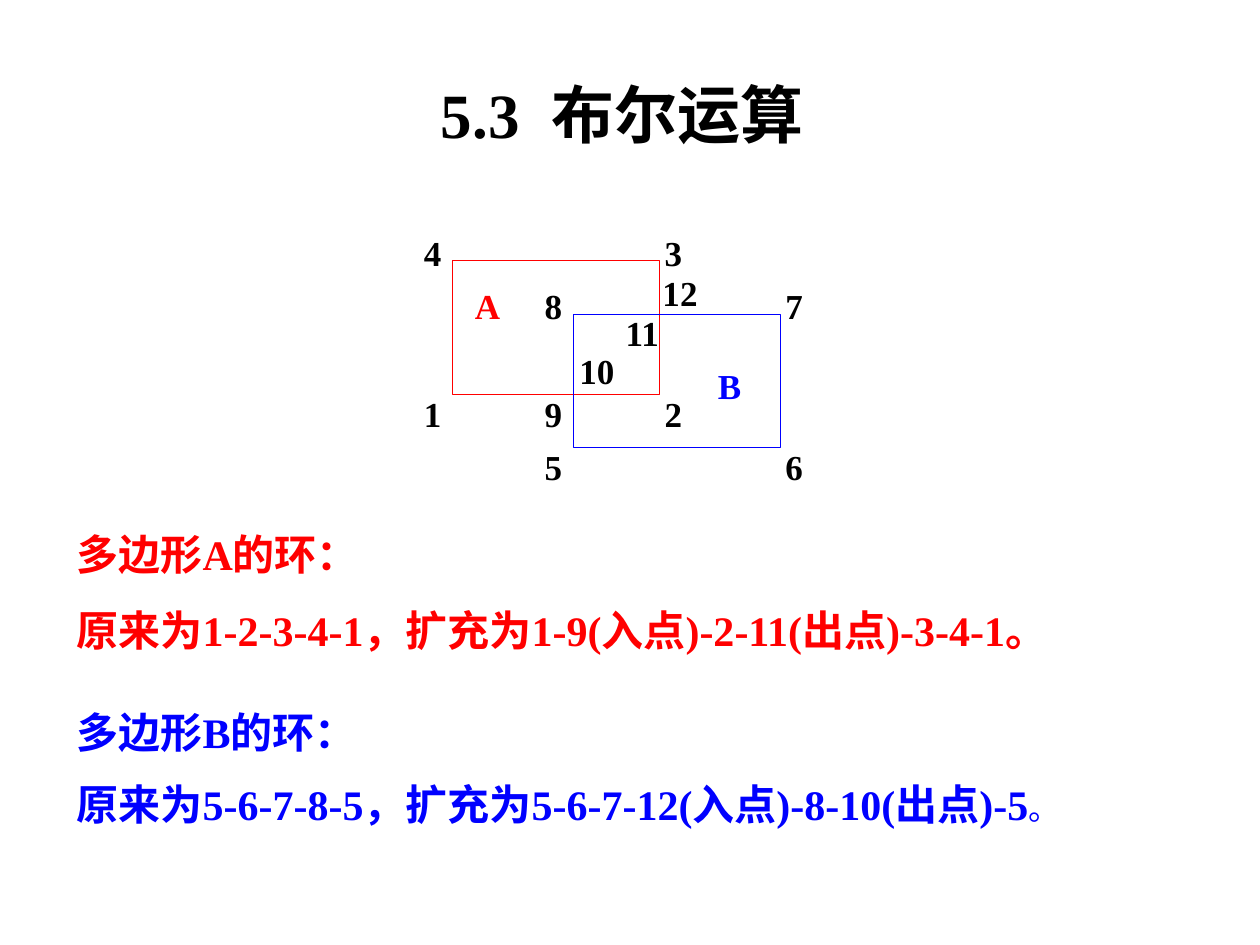
from pptx import Presentation
from pptx import util as u
from pptx.dml.color import RGBColor
from pptx.enum import shapes, text

COLORS = {"ink": "000000", "a": "FF0000", "b": "0000FF"}
LATIN, CJK = "Times New Roman", "DejaVu Sans"
ALIGN, ANCHOR = text.PP_ALIGN, text.MSO_ANCHOR


class Sheet:
    def __init__(self, slide):
        self.slide = slide
        self.diagram = slide.shapes.add_group_shape().shapes

    def run(self, p, words, color, **extra):
        r = p.add_run()
        r.text = words
        style = {"name": LATIN, "size": u.Pt(20), "bold": True, **extra}
        for key, value in style.items():
            setattr(r.font, key, value)
        r.font.color.rgb = RGBColor.from_string(COLORS[color])
        ea = r.font._element.makeelement(
            "{http://schemas.openxmlformats.org/drawingml/2006/main}ea", {"typeface": CJK})
        r.font._element.find("{*}latin").addnext(ea)
        return r

    def box(self, parent, x, y, w, h, **frame):
        tf = parent.add_textbox(u.Pt(x), u.Pt(y), u.Pt(w), u.Pt(h)).text_frame
        for key, value in {"word_wrap": True, **frame}.items():
            setattr(tf, key, value)
        return tf

    def title(self, number, words):
        """Centre the section number and its name, with a widened space between."""
        tf = self.box(self.slide.shapes, 49.5, 20, 612, 90, vertical_anchor=ANCHOR.MIDDLE)
        p = tf.paragraphs[0]
        p.alignment = ALIGN.CENTER
        size = u.Pt(36)
        self.run(p, number, "ink", size=size)
        gap = self.run(p, " ", "ink", size=size)
        gap.font._element.set("spc", "900")
        self.run(p, words, "ink", size=size)

    def label(self, words, x, y, color="ink"):
        p = self.box(self.diagram, x, y, 50, 46).paragraphs[0]
        p.alignment = ALIGN.JUSTIFY
        self.run(p, words, color)

    def polygon(self, x, y, w, h, color, corners):
        """Outline a rectangle and number its corners from bottom left, anticlockwise."""
        sp = self.diagram.add_shape(shapes.MSO_SHAPE.RECTANGLE,
                                    u.Pt(x), u.Pt(y), u.Pt(w), u.Pt(h))
        sp.shadow.inherit = False
        sp.fill.background()
        sp.line.color.rgb = RGBColor.from_string(COLORS[color])
        sp.line.width = u.Pt(0.5)
        left, right, top, bottom = x - 23.3, x + w - 4.3, y - 20.5, y + h - 5
        spots = [(left, bottom), (right, bottom), (right, top), (left, top)]
        for number, spot in zip(corners, spots):
            self.label(number, *spot)

    def rings(self, y, h, color, gap, heading, line, stop=None):
        tf = self.box(self.slide.shapes, 36.7, y, 646.5, h,
                      auto_size=text.MSO_AUTO_SIZE.SHAPE_TO_FIT_TEXT)
        first, second = tf.paragraphs[0], tf.add_paragraph()
        second.space_before = u.Pt(gap)
        for p, words in ((first, heading), (second, line)):
            p.alignment, p.line_spacing = ALIGN.JUSTIFY, 1.2
            self.run(p, words, color, size=u.Pt(24))
        if stop:
            self.run(second, stop, color, size=u.Pt(18), bold=False, name=CJK)


def main():
    prs = Presentation()
    prs.slide_width, prs.slide_height = u.Pt(720), u.Pt(540)
    s = Sheet(prs.slides.add_slide(prs.slide_layouts[6]))
    s.title("5.3", "布尔运算")

    w, h = 118.5, 76.5
    ax, ay = 258.5, 149
    bx, by = ax + 69, ay + 30.5
    s.polygon(ax, ay, w, h, "a", "1234")
    s.polygon(bx, by, w, h, "b", "5678")
    s.label("9", bx - 23.3, ay + h - 5)
    s.label("10", bx - 3.5, ay + h - 29.5)
    s.label("11", ax + w - 26.5, by - 5)
    s.label("12", ax + w - 5.5, by - 28)
    s.label("A", ax + 5.8, ay + 10, "a")
    s.label("B", bx + 75.7, by + 25, "b")

    s.rings(292.5, 85.5, "a", 9, "多边形A的环：",
            "原来为1-2-3-4-1，扩充为1-9(入点)-2-11(出点)-3-4-1。")
    s.rings(394.5, 83.5, "b", 6.8, "多边形B的环：",
            "原来为5-6-7-8-5，扩充为5-6-7-12(入点)-8-10(出点)-5", stop="。")
    prs.save("out.pptx")


if __name__ == "__main__":
    main()
